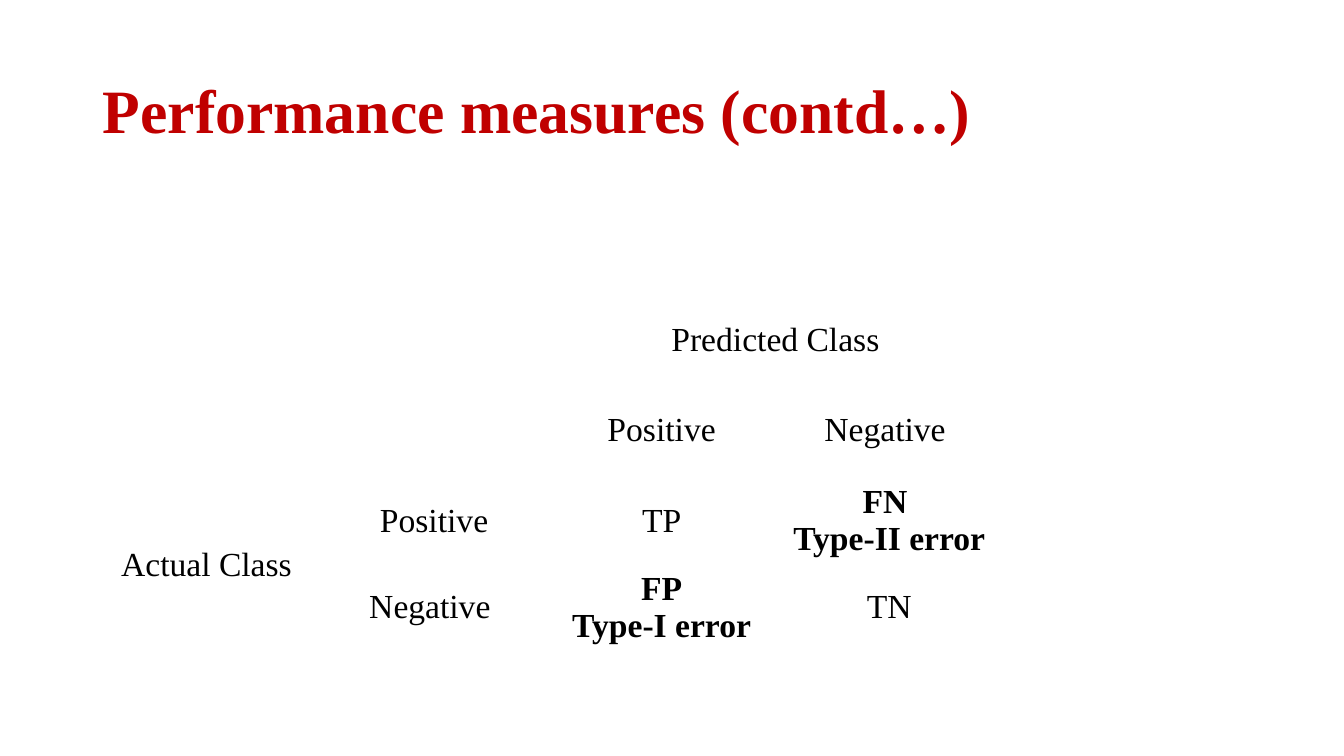
"""Build the slide with the confusion matrix of performance measures."""
from dataclasses import dataclass
from typing import Any

from pptx import Presentation
from pptx import util as u
from pptx.dml import color
from pptx.enum import text


@dataclass(frozen=True)
class Theme:
    font: str = "Times New Roman"
    title_size: float = 44
    cell_size: float = 24
    title_color: str = "C00000"
    cell_color: str = "000000"


@dataclass(frozen=True)
class MatrixCell:
    row: int
    column: int
    lines: tuple[str, ...]
    bold: bool = False
    row_span: int = 1
    column_span: int = 1


THEME = Theme()
WIDTH, HEIGHT = u.Inches(13.33), u.Inches(7.5)
LEFT = 6.9
TITLE_TOP, TITLE_WIDTH, TITLE_HEIGHT = 5.33, 86.27, 19.33
MATRIX_TOP, MATRIX_WIDTH, COLUMNS = 39.47, 67.74, 4
ROW_HEIGHTS = (11.07, 12.8, 11.07, 11.73)
MATRIX = (
    MatrixCell(0, 2, ("Predicted Class",), column_span=2),
    MatrixCell(1, 2, ("Positive",)),
    MatrixCell(1, 3, ("Negative ",)),
    MatrixCell(2, 0, ("Actual Class",), row_span=2),
    MatrixCell(2, 1, ("Positive",)),
    MatrixCell(2, 2, ("TP",)),
    MatrixCell(2, 3, ("FN ", "Type-II error"), bold=True),
    MatrixCell(3, 1, ("Negative ",)),
    MatrixCell(3, 2, ("FP", "Type-I error"), bold=True),
    MatrixCell(3, 3, ("TN",)),
)


def across(percent: float) -> int:
    """Turn a percentage of the slide width into a length."""
    return round(WIDTH * percent / 100)


def down(percent: float) -> int:
    """Turn a percentage of the slide height into a length."""
    return round(HEIGHT * percent / 100)


def apply(target: Any, values: dict[str, Any]) -> None:
    """Set each named attribute on the target."""
    for name, value in values.items():
        setattr(target, name, value)


def format_paragraph(paragraph: Any, size: float, rgb: str, bold: bool, layout: dict[str, Any]) -> None:
    """Apply paragraph layout and the theme font to every run."""
    apply(paragraph, layout)
    for run in paragraph.runs:
        apply(run.font, {"name": THEME.font, "size": u.Pt(size), "bold": bold})
        run.font.color.rgb = color.RGBColor.from_string(rgb)


def draw_title(slide: Any, wording: str) -> None:
    """Place and format the title placeholder."""
    title = slide.shapes.title
    apply(title, {"left": across(LEFT), "top": down(TITLE_TOP),
                  "width": across(TITLE_WIDTH), "height": down(TITLE_HEIGHT)})
    title.text_frame.text = wording
    apply(title.text_frame, {"vertical_anchor": text.MSO_ANCHOR.MIDDLE,
                             "auto_size": text.MSO_AUTO_SIZE.NONE, "word_wrap": True})
    format_paragraph(title.text_frame.paragraphs[0], THEME.title_size, THEME.title_color, True,
                     {"alignment": text.PP_ALIGN.LEFT, "line_spacing": 0.9})


def draw_matrix(slide: Any) -> None:
    """Draw the confusion matrix as a plain table."""
    table = slide.shapes.add_table(
        len(ROW_HEIGHTS), COLUMNS, across(LEFT), down(MATRIX_TOP),
        across(MATRIX_WIDTH), down(sum(ROW_HEIGHTS))).table
    apply(table, {"first_row": False, "horz_banding": False})
    for row, height in zip(table.rows, ROW_HEIGHTS):
        row.height = down(height)
    for cell in table.iter_cells():
        cell.fill.background()
    for entry in MATRIX:
        cell = table.cell(entry.row, entry.column)
        if entry.row_span > 1 or entry.column_span > 1:
            cell.merge(table.cell(entry.row + entry.row_span - 1,
                                  entry.column + entry.column_span - 1))
        cell.text = "\n".join(entry.lines)
        cell.vertical_anchor = text.MSO_ANCHOR.MIDDLE
        for paragraph in cell.text_frame.paragraphs:
            format_paragraph(paragraph, THEME.cell_size, THEME.cell_color, entry.bold,
                             {"alignment": text.PP_ALIGN.CENTER})


def main() -> None:
    """Create and save the presentation."""
    presentation = Presentation()
    apply(presentation, {"slide_width": WIDTH, "slide_height": HEIGHT})
    slide = presentation.slides.add_slide(presentation.slide_layouts.get_by_name("Title Only"))
    draw_title(slide, "Performance measures (contd…)")
    draw_matrix(slide)
    presentation.save("out.pptx")


if __name__ == "__main__":
    main()
